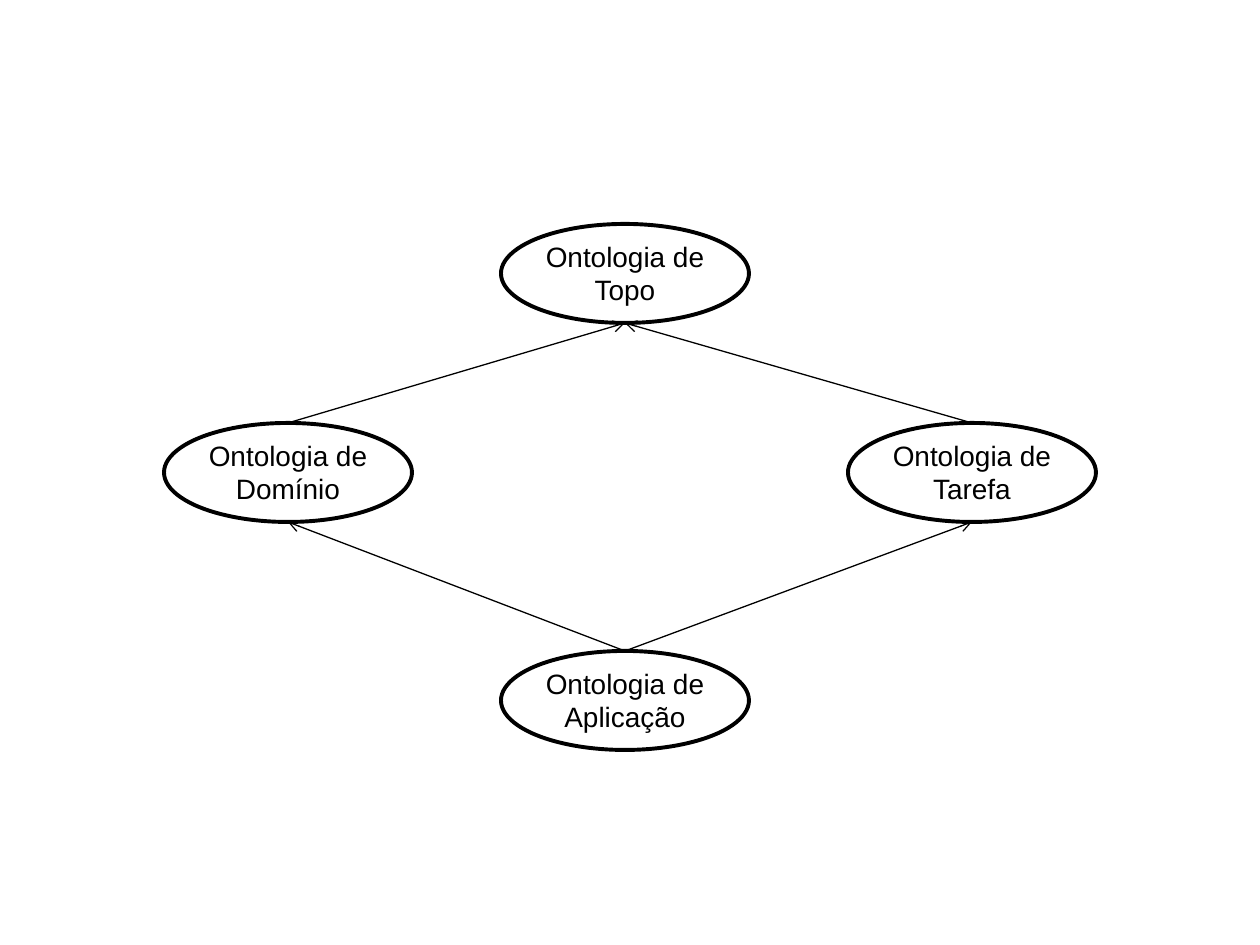
from lxml.etree import SubElement
from pptx import Presentation
from pptx.dml.color import RGBColor
from pptx.enum.shapes import MSO_CONNECTOR, MSO_SHAPE
from pptx.enum.text import MSO_AUTO_SIZE, PP_ALIGN
from pptx.oxml.ns import qn
from pptx.util import Pt

PIXEL = 914400 // 126
BLACK = RGBColor(0x00, 0x00, 0x00)
WHITE = RGBColor(0xFF, 0xFF, 0xFF)

NODE_WIDTH, NODE_HEIGHT = 248, 99
LABEL_INSET = 9

# Node name: left, top, label width
NODES = {
    "Topo": (501, 224, 248),
    "Domínio": (164, 423, 248),
    "Aplicação": (501, 651, 248),
    "Tarefa": (848, 423, 208),
}
# Each arrow runs from the top of one node to the bottom of another
ARROWS = [
    ("Domínio", "Topo"),
    ("Tarefa", "Topo"),
    ("Aplicação", "Domínio"),
    ("Aplicação", "Tarefa"),
]


def to_emu(*pixels):
    """Turn pixel lengths into EMU."""
    return [round(pixel * PIXEL) for pixel in pixels]


presentation = Presentation()
presentation.slide_width, presentation.slide_height = to_emu(1260, 945)
slide = presentation.slides.add_slide(presentation.slide_layouts[6])

for name, (left, top, label_width) in NODES.items():
    ellipse = slide.shapes.add_shape(
        MSO_SHAPE.OVAL, *to_emu(left, top, NODE_WIDTH, NODE_HEIGHT))
    ellipse.shadow.inherit = False
    ellipse.fill.solid()
    ellipse.fill.fore_color.rgb = WHITE
    ellipse.line.color.rgb = BLACK
    ellipse.line.width = Pt(2.25)

    label_left = left + (NODE_WIDTH - label_width) // 2
    label = slide.shapes.add_textbox(*to_emu(
        label_left, top + LABEL_INSET, label_width, NODE_HEIGHT - 2 * LABEL_INSET))
    label.text_frame.word_wrap = True
    label.text_frame.auto_size = MSO_AUTO_SIZE.SHAPE_TO_FIT_TEXT
    paragraph = label.text_frame.paragraphs[0]
    paragraph.alignment = PP_ALIGN.CENTER
    run = paragraph.add_run()
    run.text = f"Ontologia de {name}"
    run.font.name = "Arial"
    run.font.size = Pt(16)
    run.font.color.rgb = BLACK

for source, target in ARROWS:
    source_left, source_top, _ = NODES[source]
    target_left, target_top, _ = NODES[target]
    arrow = slide.shapes.add_connector(MSO_CONNECTOR.STRAIGHT, *to_emu(
        source_left + NODE_WIDTH // 2, source_top,
        target_left + NODE_WIDTH // 2, target_top + NODE_HEIGHT))
    arrow.line.color.rgb = BLACK
    arrow.line.width = Pt(0.75)
    SubElement(arrow.line._get_or_add_ln(), qn("a:tailEnd"), type="arrow")
    SubElement(arrow._element.spPr, qn("a:effectLst"))

presentation.save("out.pptx")
